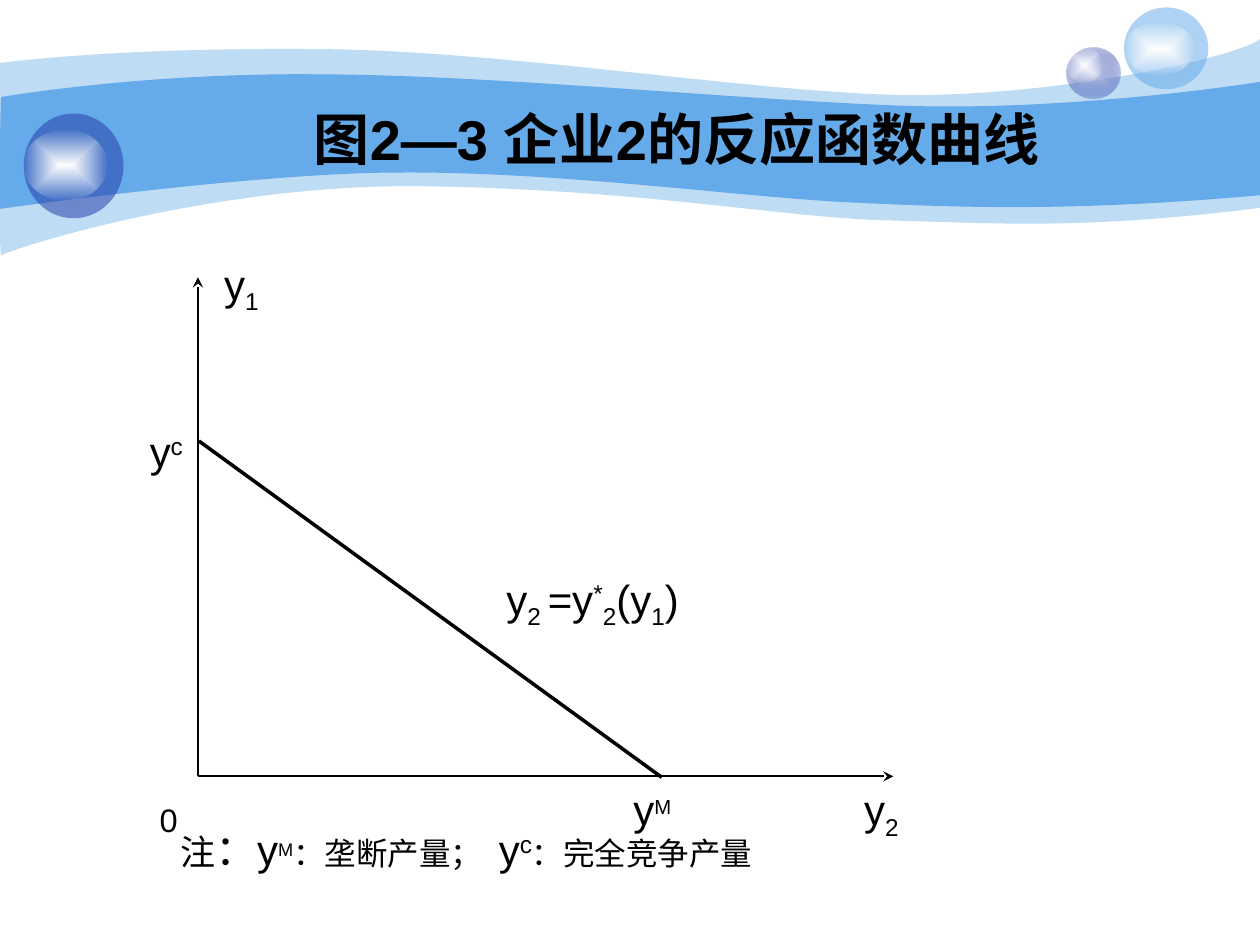
from lxml import etree
from pptx import Presentation, util as u
from pptx.dml.color import RGBColor
from pptx.enum import shapes, text
from pptx.oxml import parse_xml
from pptx.oxml.ns import nsdecls, qn

COLORS = {"sky": "65AAE9", "navy": "233DA9", "lilac": "C7CEE9",
          "white": "FFFFFF", "black": "000000"}
LATIN, CHINESE = "Arial", "Noto Sans CJK SC"
SUB, SUPER = -25, 30

# Wave outlines in hundredths of an inch: start, 3 curves, a line, 4 curves back
WAVES = [
    (41, [(0, 50), (24, 47), (107, 38), (247, 39), (386, 39), (575, 70), (699, 75),
          (822, 80), (980, 47), (1000, 31), (1000, 165),
          (858, 183), (787, 177), (705, 175), (622, 173), (515, 151), (343, 148),
          (172, 144), (4, 199), (1, 203), (-1, 208), (0, 75), (0, 50)]),
    (100, [(1, 77), (2, 77), (110, 58), (248, 59), (386, 59), (595, 80), (718, 84),
           (841, 88), (976, 69), (1000, 65), (1000, 155),
           (853, 168), (765, 165), (682, 161), (599, 158), (447, 136), (317, 137),
           (203, 137), (-2, 166), (-1, 166), (0, 166), (0, 77), (1, 77)]),
]
CURVE_STARTS = (0, 3, 6, 10, 13, 16, 19)

# Balls: box in cm, then (colour, opacity) stops from the centre outwards
GLOSS = [("white", 100), ("white", 0)]
BALLS = [
    ((21.51, 0.97, 1.07, 1.02), [("lilac", 100), ("navy", 31)]),
    ((21.51, 0.97, 0.71, 0.69), GLOSS),
    ((22.66, 0.15, 1.7, 1.65), [("sky", 53)]),
    ((22.66, 0.43, 1.42, 1.09), GLOSS),
    ((0.48, 2.29, 2.01, 2.11), [("navy", 53)]),
    ((0.48, 2.62, 1.68, 1.42), GLOSS),
]

# Axes and reaction curve in cm: start, end, width in points, arrow at the end
ORIGIN = (3.99, 15.65)
LINES = [
    (ORIGIN, (3.99, 5.59), 1, True),
    (ORIGIN, (18.01, 15.65), 1, True),
    ((4.01, 8.89), (13.34, 15.67), 2, False),
]

# Labels: box in cm, wrap, runs of (text, format)
SMALL = {"size": 18, "font": CHINESE}
LABELS = [
    ((4.27, 5.08, 1.22, 1.42), False, [("y", {}), ("1", {"base": SUB})]),
    ((2.97, 15.24, 1.12, 1.8), True, [("0", {"size": 32, "base": SUB})]),
    ((17.17, 15.67, 1.22, 1.42), False, [("y", {}), ("2", {"base": SUB})]),
    ((12.52, 15.67, 1.27, 1.27), False, [("y", {}), ("M", {"size": 20, "base": SUPER})]),
    ((2.77, 8.46, 1.19, 1.27), False, [("y", {}), ("c", {"base": SUPER})]),
    ((9.96, 11.43, 6.35, 1.42), True,
     [("y", {}), ("2 ", {"base": SUB}), ("=y", {}), ("*", {"base": SUPER}),
      ("2", {"base": SUB}), ("(y", {}), ("1", {"base": SUB}), (")", {})]),
    ((3.38, 16.48, 15.04, 2.03), True,
     [("注", {"size": 20, "font": CHINESE}), ("：", {"font": CHINESE}),
      ("y", {}), ("M", {"size": 18, "base": SUPER}), ("：垄断产量； ", SMALL),
      (" ", {"font": CHINESE}), ("y", {}), ("c", {"base": SUPER}),
      ("：完全竞争产量", SMALL)]),
]
TITLE = "图2—3 企业2的反应函数曲线"
TITLE_BOX = (6.07, 1.98, 16.23, 1.6)


def cm(values):
    return [u.Cm(value) for value in values]


def add_run(paragraph, content, size=24, font=LATIN, base=0, bold=False):
    run = paragraph.add_run()
    run.text = content
    run.font.size, run.font.name, run.font.bold = u.Pt(size), font, bold
    run.font.color.rgb = RGBColor.from_string(COLORS["black"])
    properties = run.font._element
    etree.SubElement(properties, qn("a:ea")).set("typeface", CHINESE)
    if base:
        properties.set("baseline", str(base * 1000))


def format_frame(frame, wrap):
    frame.word_wrap = wrap
    frame.auto_size = text.MSO_AUTO_SIZE.NONE
    frame.vertical_anchor = text.MSO_ANCHOR.TOP
    return frame.paragraphs[0]


def paint(shape, stops):
    """Fill with one translucent colour, or a gradient out from the centre."""
    shape.shadow.inherit = False
    shape.line.fill.background()
    shape.fill.solid()
    colors = [f'<a:srgbClr val="{COLORS[name]}"><a:alpha val="{opacity * 1000}"/></a:srgbClr>'
              for name, opacity in stops]
    if len(colors) == 1:
        xml = f'<a:solidFill {nsdecls("a")}>{colors[0]}</a:solidFill>'
    else:
        xml = (f'<a:gradFill {nsdecls("a")} rotWithShape="1"><a:gsLst>'
               f'<a:gs pos="0">{colors[0]}</a:gs><a:gs pos="100000">{colors[1]}</a:gs></a:gsLst>'
               '<a:path path="rect"><a:fillToRect l="50000" t="50000" r="50000" b="50000"/>'
               '</a:path></a:gradFill>')
    old = shape.element.spPr.find(qn("a:solidFill"))
    old.getparent().replace(old, parse_xml(xml))


def add_wave(slide, opacity, points):
    builder = slide.shapes.build_freeform(*points[0], scale=u.Cm(2.54) / 100)
    builder.add_line_segments(points[1:], close=True)
    wave = builder.convert_to_shape()
    # Turn each group of three straight segments into one Bézier curve
    segments = list(wave.element.iter(qn("a:lnTo")))
    for start in CURVE_STARTS:
        first, *others = segments[start:start + 3]
        curve = etree.Element(qn("a:cubicBezTo"))
        first.addprevious(curve)
        for segment in (first, *others):
            curve.append(segment[0])
            segment.getparent().remove(segment)
    paint(wave, [("sky", opacity)])


def add_line(slide, start, end, width, arrow):
    line = slide.shapes.add_connector(shapes.MSO_CONNECTOR.STRAIGHT, *cm(start + end))
    line.line.width = u.Pt(width)
    line.line.color.rgb = RGBColor.from_string(COLORS["black"])
    if arrow:
        etree.SubElement(line.line._get_or_add_ln(), qn("a:tailEnd")).set("type", "stealth")
    etree.SubElement(line.element.spPr, qn("a:effectLst"))


def main():
    presentation = Presentation()
    presentation.slide_width, presentation.slide_height = cm((25.4, 19.05))
    slide = presentation.slides.add_slide(presentation.slide_layouts[5])

    # Banner
    for opacity, points in WAVES:
        add_wave(slide, opacity, points)
    for box, stops in BALLS:
        paint(slide.shapes.add_shape(shapes.MSO_SHAPE.OVAL, *cm(box)), stops)

    # Diagram
    for line in LINES:
        add_line(slide, *line)
    for box, wrap, runs in LABELS:
        paragraph = format_frame(slide.shapes.add_textbox(*cm(box)).text_frame, wrap)
        for content, style in runs:
            add_run(paragraph, content, **style)

    # Title, brought in front of the banner
    title = slide.shapes.title
    title.left, title.top, title.width, title.height = cm(TITLE_BOX)
    paragraph = format_frame(title.text_frame, False)
    paragraph.alignment = text.PP_ALIGN.LEFT
    add_run(paragraph, TITLE, size=32, bold=True)
    title.element.getparent().append(title.element)

    presentation.save("out.pptx")


if __name__ == "__main__":
    main()
